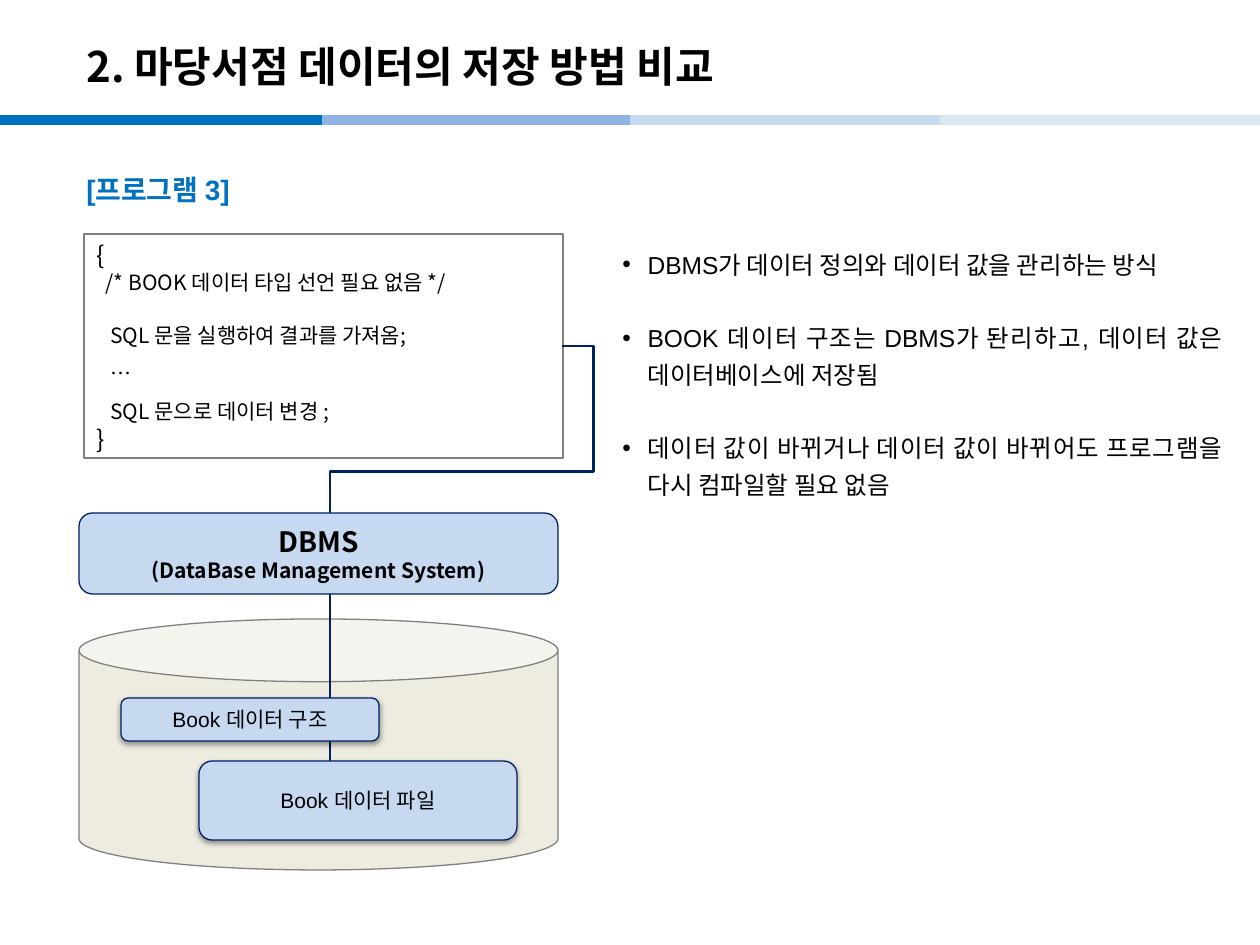
"""Build a slide on storing bookshop data through a DBMS."""
from lxml import etree
from pptx import Presentation
from pptx import util as u
from pptx.dml.color import RGBColor
from pptx.enum import shapes, text
from pptx.oxml import parse_xml
from pptx.oxml.ns import qn

PX = u.Inches(1) / 126
NS = 'xmlns:a="http://schemas.openxmlformats.org/drawingml/2006/main"'
SHADE = (f'<a:effectLst {NS}><a:outerShdw blurRad="39370" dist="20320" dir="5400000" rotWithShape="0">'
         '<a:srgbClr val="000000"><a:alpha val="38000"/></a:srgbClr></a:outerShdw></a:effectLst>')
NOTO, ARIAL = "Noto Sans CJK KR", "Arial"
NAVY, GRAY, PALE = "002060", "808080", "C6D9F1"
hue = RGBColor.from_string
kind = shapes.MSO_SHAPE
mid = text.MSO_ANCHOR.MIDDLE


def write(frame, rows, name, tint="000000", anchor=text.MSO_ANCHOR.TOP):
    """Fill a text frame with rows of (words, font formats, paragraph formats)."""
    frame.word_wrap, frame.vertical_anchor = True, anchor
    for i, (words, face, form) in enumerate(rows):
        para = frame.add_paragraph() if i else frame.paragraphs[0]
        run = para.add_run()
        run.text = words
        run.font.color.rgb = hue(tint)
        for obj, vals in ((run.font, {"name": name, **face}), (para, form)):
            for key, val in vals.items():
                setattr(obj, key, val)


def join(form, ends, tint, width):
    """Draw a flat connector between two points."""
    line = slide.shapes.add_connector(form, *(round(n * PX) for n in ends))
    line.line.color.rgb, line.line.width = hue(tint), u.Pt(width)
    etree.SubElement(line._element.spPr, qn("a:effectLst"))
    return line


deck = Presentation()
deck.slide_width, deck.slide_height = u.Inches(10), u.Inches(7.5)
slide = deck.slides.add_slide(deck.slide_layouts[6])

for x, tint in ((0, "0070C0"), (322, "8EB4E3"), (630, PALE), (940, "DCE6F2")):
    join(shapes.MSO_CONNECTOR.STRAIGHT, (x, 120, x + 322, 120), tint, 6)

bold = {"size": u.Pt(24), "bold": True}
head = {"size": u.Pt(16), "bold": True}
small = {"size": u.Pt(12)}
large = {"size": u.Pt(14)}
left = {"alignment": text.PP_ALIGN.LEFT}
tall = {**left, "line_spacing": 1.5}
mids = {"alignment": text.PP_ALIGN.CENTER}
note = {"alignment": text.PP_ALIGN.JUSTIFY, "line_spacing": u.Pt(21)}
gap = {**note, "space_before": u.Pt(21)}

points = [
    ("DBMS가 데이터 정의와 데이터 값을 관리하는 방식", large, note),
    ("BOOK 데이터 구조는 DBMS가 돤리하고, 데이터 값은 데이터베이스에 저장됨", large, gap),
    ("데이터 값이 바뀌거나 데이터 값이 바뀌어도 프로그램을 다시 컴파일할 필요 없음", large, gap),
]
for spot, rows, name, tint, anchor in (
    ((74, 28, 1042, 76), [("2. 마당서점 데이터의 저장 방법 비교", bold, left)], NOTO, "000000", mid),
    ((74, 150, 1111, 60), [("[프로그램 3]", head, tall)], ARIAL, "0070C0", text.MSO_ANCHOR.TOP),
    ((610, 236, 625, 310), points, ARIAL, "000000", text.MSO_ANCHOR.TOP),
):
    area = slide.shapes.add_textbox(*(round(n * PX) for n in spot))
    write(area.text_frame, rows, name, tint, anchor)

for para in area.text_frame.paragraphs:
    props = para._p.get_or_add_pPr()
    props.set("marL", str(u.Inches(0.2)))
    props.set("indent", str(-u.Inches(0.2)))
    etree.SubElement(props, qn("a:buFont")).set("typeface", ARIAL)
    etree.SubElement(props, qn("a:buChar")).set("char", "•")

code = [
    ("{", large, left),
    ("  /* BOOK 데이터 타입 선언 필요 없음 */", small, left),
    ("   SQL 문을 실행하여 결과를 가져옴;", small, {**left, "space_before": u.Pt(16)}),
    ("   …", small, tall),
    ("   SQL 문으로 데이터 변경 ;", small, tall),
    ("}", large, left),
]
dbms = [("DBMS", head, mids), ("(DataBase Management System)", {**small, "bold": True}, mids)]
for form, spot, fill, edge, rows, name, shade in (
    (kind.RECTANGLE, (84, 234, 479, 224), "FFFFFF", GRAY, code, NOTO, False),
    (kind.CAN, (79, 619, 479, 251), "EEECE1", GRAY, [], NOTO, False),
    (kind.ROUNDED_RECTANGLE, (79, 513, 479, 81), PALE, NAVY, dbms, NOTO, False),
    (kind.ROUNDED_RECTANGLE, (199, 761, 318, 79), PALE, NAVY,
     [("Book 데이터 파일", small, mids)], ARIAL, True),
    (kind.ROUNDED_RECTANGLE, (121, 698, 258, 43), PALE, NAVY,
     [("Book 데이터 구조", small, mids)], ARIAL, True),
):
    box = slide.shapes.add_shape(form, *(round(n * PX) for n in spot))
    box.fill.solid()
    box.fill.fore_color.rgb = hue(fill)
    box.line.color.rgb, box.line.width = hue(edge), u.Pt(0.75)
    if shade:
        box._element.spPr.append(parse_xml(SHADE))
    else:
        box.shadow.inherit = False
    write(box.text_frame, rows, name, anchor=text.MSO_ANCHOR.TOP if rows is code else mid)
    if form == kind.CAN:
        link = join(shapes.MSO_CONNECTOR.ELBOW, (562, 346, 330, 781), NAVY, 1.5)
        geom = link._element.spPr.find(qn("a:prstGeom"))
        geom.set("prst", "bentConnector4")
        for key, val in (("adj1", -13600), ("adj2", 28900)):
            guide = etree.SubElement(geom.find(qn("a:avLst")), qn("a:gd"))
            guide.set("name", key)
            guide.set("fmla", f"val {val}")

deck.save("out.pptx")
